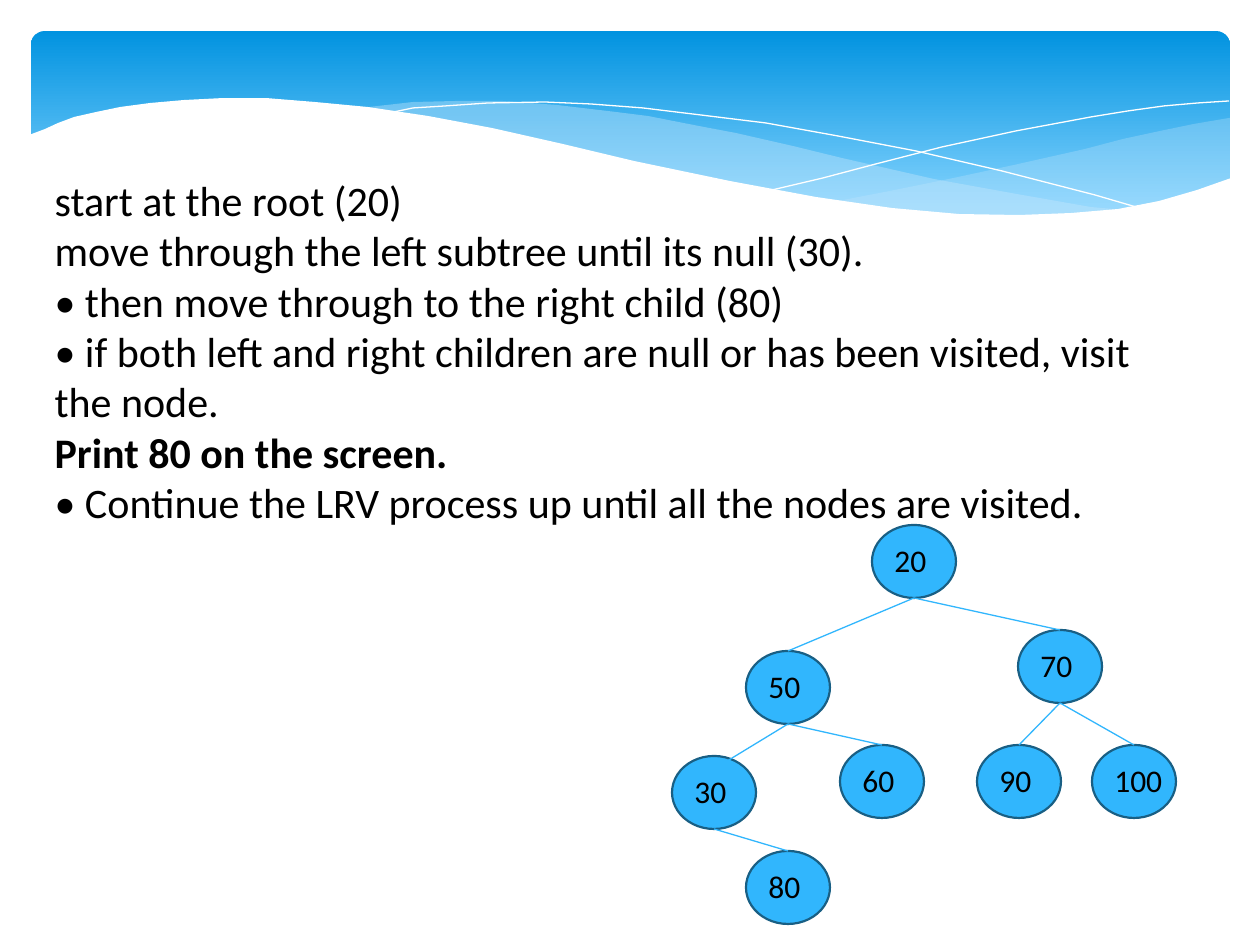
from lxml.etree import SubElement
from pptx import Presentation
from pptx.dml.color import RGBColor
from pptx.enum.shapes import MSO_CONNECTOR, MSO_SHAPE
from pptx.enum.text import MSO_ANCHOR, MSO_AUTO_SIZE
from pptx.oxml.ns import qn
from pptx.util import Emu, Inches, Pt

PX = 914400 / 126
FONT = "Calibri"
BLACK = RGBColor(0x00, 0x00, 0x00)
WHITE = RGBColor(0xFF, 0xFF, 0xFF)
BANNER_TOP = RGBColor(0x02, 0x93, 0xE0)
BANNER_BOTTOM = RGBColor(0x83, 0xD3, 0xFE)
WAVE = RGBColor(0xC6, 0xE7, 0xFC)
NODE_FILL = RGBColor(0x31, 0xB6, 0xFD)
NODE_LINE = RGBColor(0x19, 0x5F, 0x84)

STEPS = [
    ("start at the root (20)", False),
    ("move through the left subtree until its null (30).", False),
    ("• then move through to the right child (80)", False),
    ("• if both left and right children are null or has been visited, visit the node.", False),
    ("Print 80 on the screen.", True),
    ("• Continue the LRV process up until all the nodes are visited.", False),
]

NODE_WIDTH, NODE_HEIGHT, LABEL_INSET = 84, 73, 10
NODES = {
    "20": (872, 525),
    "30": (672, 756),
    "70": (1018, 630),
    "50": (746, 651),
    "60": (840, 745),
    "90": (977, 745),
    "100": (1092, 745),
    "80": (746, 851),
}
EDGES = [("20", "50"), ("20", "70"), ("50", "30"), ("50", "60"),
         ("30", "80"), ("70", "90"), ("70", "100")]
SIDE_ENTRIES = {"30": (719, 766)}

RIGHT_WAVE = [
    (1229, 118), (1194, 124), (1160, 131), (1123, 139), (1085, 149), (1014, 165),
    (949, 179), (890, 191), (833, 202), (871, 206), (906, 210), (939, 213),
    (984, 216), (1026, 217), (1064, 215), (1098, 213), (1130, 208), (1160, 202),
    (1187, 194), (1213, 185), (1230, 178), (1230, 118),
]
LEFT_WAVE = [
    (1125, 210), (1091, 207), (1017, 194), (934, 179), (842, 158), (793, 146),
    (736, 133), (699, 126), (648, 116), (616, 112), (557, 105), (503, 101),
    (455, 101), (413, 102), (360, 108), (407, 113), (456, 122), (509, 133),
    (566, 146), (619, 159), (713, 180), (779, 193), (838, 203), (893, 209),
    (942, 214), (989, 217), (1031, 218), (1068, 217), (1104, 213),
]
FALLING_CURVE = [
    (389, 113), (413, 108), (445, 106), (488, 103), (545, 102), (591, 104),
    (643, 108), (701, 115), (766, 123), (838, 136), (916, 151), (1002, 171),
    (1095, 195), (1143, 209),
]
RISING_CURVE = [
    (772, 190), (823, 178), (876, 164), (942, 147), (1016, 131), (1091, 117),
    (1128, 111), (1164, 106), (1198, 103), (1229, 101),
]
WHITE_WAVE = [
    (1231, 178), (1197, 190), (1159, 201), (1118, 209), (1071, 213), (1019, 215),
    (959, 214), (892, 208), (816, 197), (730, 181), (634, 161), (563, 144),
    (492, 128), (428, 116), (368, 107), (315, 102), (266, 98), (223, 98),
    (184, 100), (150, 103), (120, 107), (96, 112), (74, 117), (58, 123),
    (45, 129), (29, 135), (29, 282), (1231, 282),
]
WAVES = [
    (RIGHT_WAVE, WAVE, 29),
    (LEFT_WAVE, WAVE, 40),
    (FALLING_CURVE, None, 100),
    (RISING_CURVE, None, 100),
    (WHITE_WAVE, WHITE, 100),
]


def px(*lengths):
    return [Emu(round(length * PX)) for length in lengths]


def format_runs(paragraph, size, bold=False):
    for run in paragraph.runs:
        run.font.name = FONT
        run.font.size = Pt(size)
        run.font.bold = bold
        run.font.color.rgb = BLACK


def add_banner(slide):
    banner = slide.shapes.add_shape(MSO_SHAPE.ROUNDED_RECTANGLE, *px(31, 31, 1199, 197))
    banner.adjustments[0] = 0.07
    banner.shadow.inherit = False
    banner.line.fill.background()
    banner.fill.gradient()
    banner.fill.gradient_angle = 270
    stops = banner.fill.gradient_stops
    for stop, position, color in zip(stops, (0, 0.9), (BANNER_TOP, BANNER_BOTTOM)):
        stop.position = position
        stop.color.rgb = color


def add_wave(slide, points, color, opacity):
    builder = slide.shapes.build_freeform(*points[0], scale=PX)
    builder.add_line_segments(points[1:], close=color is not None)
    shape = builder.convert_to_shape()
    shape.shadow.inherit = False
    if color is None:
        shape.fill.background()
        shape.line.color.rgb = WHITE
        shape.line.width = Pt(0)
        return
    shape.fill.solid()
    shape.fill.fore_color.rgb = color
    shape.line.fill.background()
    if opacity < 100:
        color_element = shape.fill._xPr.find(".//" + qn("a:srgbClr"))
        SubElement(color_element, qn("a:alpha"), val=str(opacity * 1000))


def fill_steps(body):
    body.left, body.top, body.width, body.height = px(42, 168, 1124, 369)
    text_frame = body.text_frame
    text_frame.auto_size = MSO_AUTO_SIZE.NONE
    text_frame.vertical_anchor = MSO_ANCHOR.TOP
    text_frame.text = "\n".join(text for text, _ in STEPS)
    for paragraph, (_, bold) in zip(text_frame.paragraphs, STEPS):
        paragraph.space_before = Pt(0)
        properties = paragraph._p.get_or_add_pPr()
        properties.set("marL", "0")
        properties.set("indent", "0")
        SubElement(properties, qn("a:buNone"))
        format_runs(paragraph, 24, bold)


def add_node(slide, value, left, top):
    node = slide.shapes.add_shape(MSO_SHAPE.OVAL, *px(left, top, NODE_WIDTH, NODE_HEIGHT))
    node.shadow.inherit = False
    node.fill.solid()
    node.fill.fore_color.rgb = NODE_FILL
    node.line.color.rgb = NODE_LINE
    node.line.width = Pt(1.25)
    label = slide.shapes.add_textbox(*px(left + LABEL_INSET, top + LABEL_INSET, 73, 50))
    label.text_frame.word_wrap = True
    label.text_frame.text = value
    format_runs(label.text_frame.paragraphs[0], 18)
    return node


def add_edge(slide, nodes, parent, child):
    parent_left, parent_top = NODES[parent]
    child_left, child_top = NODES[child]
    start = (parent_left + NODE_WIDTH / 2, parent_top + NODE_HEIGHT)
    end = SIDE_ENTRIES.get(child, (child_left + NODE_WIDTH / 2, child_top))
    edge = slide.shapes.add_connector(MSO_CONNECTOR.STRAIGHT, *px(*start, *end))
    if child not in SIDE_ENTRIES:
        edge.end_connect(nodes[child], 0)
    edge.line.color.rgb = NODE_FILL
    edge.line.width = Pt(0.75)
    SubElement(edge._element.spPr, qn("a:effectLst"))


def main():
    presentation = Presentation()
    presentation.slide_width = Inches(10)
    presentation.slide_height = Inches(7.5)
    slide = presentation.slides.add_slide(presentation.slide_layouts[1])
    title, body = slide.placeholders
    title._element.getparent().remove(title._element)
    add_banner(slide)
    for points, color, opacity in WAVES:
        add_wave(slide, points, color, opacity)
    slide.shapes._spTree.append(body._element)
    fill_steps(body)
    nodes = {value: add_node(slide, value, *corner) for value, corner in NODES.items()}
    for parent, child in EDGES:
        add_edge(slide, nodes, parent, child)
    presentation.save("out.pptx")


if __name__ == "__main__":
    main()
